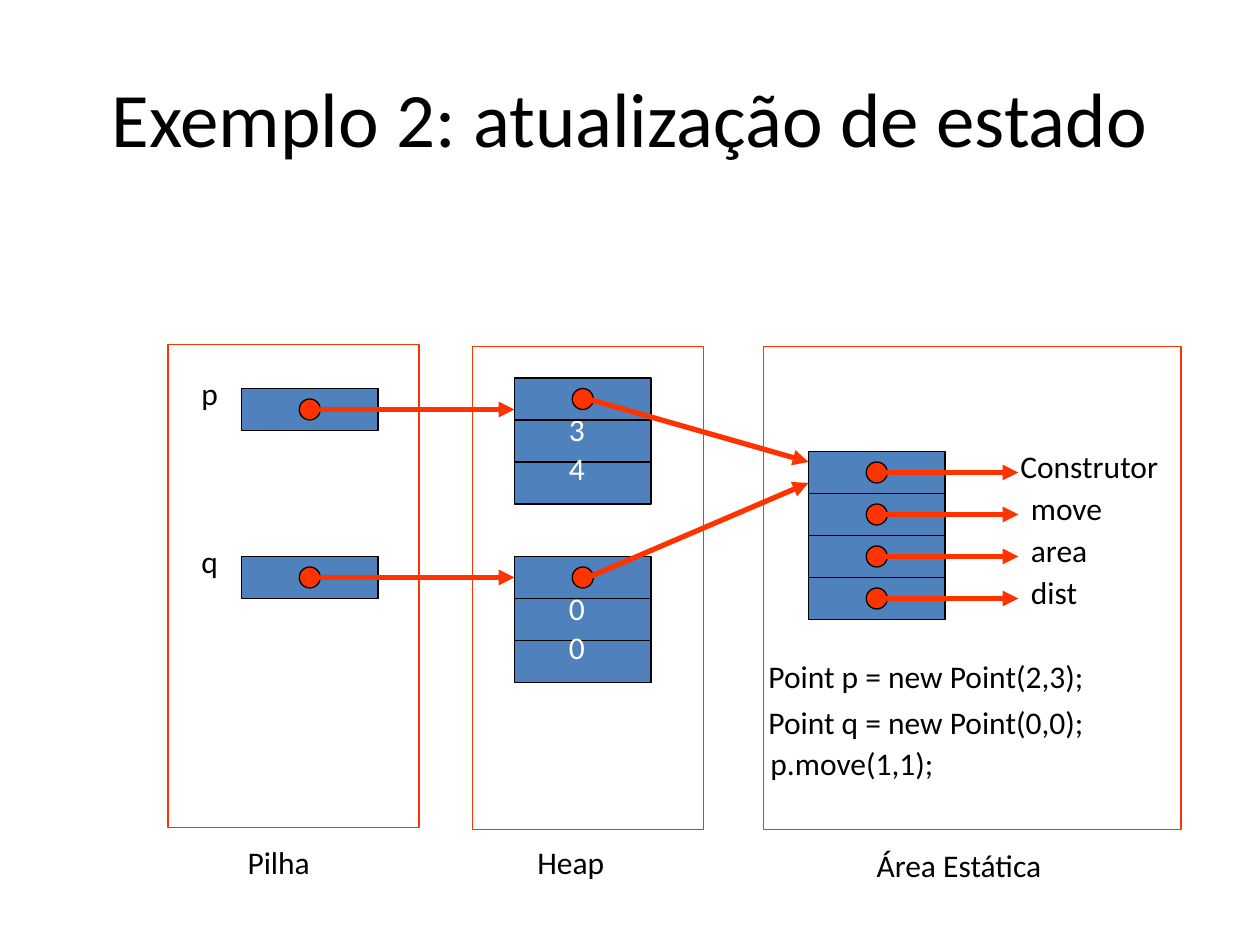
from lxml.etree import SubElement
from pptx import Presentation
from pptx.dml.color import RGBColor
from pptx.enum.shapes import MSO_CONNECTOR, MSO_SHAPE as Shape
from pptx.enum.text import MSO_ANCHOR, PP_ALIGN
from pptx.oxml.ns import qn
from pptx.util import Inches, Pt

BLACK = RGBColor(0x00, 0x00, 0x00)
WHITE = RGBColor(0xFF, 0xFF, 0xFF)
BLUE = RGBColor(0x4F, 0x81, 0xBD)
RED = RGBColor(0xFF, 0x33, 0x00)

# All positions are in grid units, twelve to the inch.
UNIT = Inches(1) / 12
CELL_W, CELL_H, DOT = 13, 4, 2

TITLE = "Exemplo 2: atualização de estado"
FRAMES = [(16, 32.8, 23.9, 46), (45, 33, 22, 46), (72.7, 33, 39.8, 46)]
CAPTIONS = [("Pilha", 22.4, 79.7, 9.4), ("Heap", 50, 79.7, 13),
            ("Área Estática", 82.3, 80, 21.7)]
CODE = [("Point p = new Point(2,3);", 72, 62),
        ("Point q = new Point(0,0);", 72, 66.4),
        ("p.move(1,1);", 72.2, 70.3)]

STACK_X, HEAP_X, STATIC_X, STATIC_Y = 23, 49, 77, 43
# variable, row on the stack, row on the heap, field values, arrow end row
VARIABLES = [("p", 37, 36, ("3", "4"), 44), ("q", 53, 53, ("0", "0"), 46)]
METHODS = [("Construtor", 96), ("move", 97), ("area", 97), ("dist", 97)]

prs = Presentation()
prs.slide_width, prs.slide_height = Inches(10), Inches(7.5)
s = prs.slides.add_slide(prs.slide_layouts[6])


def grid(*values):
    return [round(v * UNIT) for v in values]


def add_text(text, x, y, w, h=6, size=18, color=BLACK):
    tf = s.shapes.add_textbox(*grid(x, y, w, h)).text_frame
    tf.word_wrap = True
    p = tf.paragraphs[0]
    p.text = text
    p.font.name, p.font.size, p.font.color.rgb = "Calibri", Pt(size), color
    return tf


def add_box(kind, x, y, w, h, fill=None, line=BLACK):
    sp = s.shapes.add_shape(kind, *grid(x, y, w, h))
    sp.shadow.inherit = False
    if fill is None:
        sp.fill.background()
    else:
        sp.fill.solid()
        sp.fill.fore_color.rgb = fill
    sp.line.color.rgb, sp.line.width = line, Pt(0.75)


def add_cell(x, y):
    add_box(Shape.RECTANGLE, x, y, CELL_W, CELL_H, BLUE)


def add_pointer(x, y, end_x, end_y):
    """Draw a cell with a dot in its middle and an arrow leaving the dot."""
    add_cell(x, y)
    add_box(Shape.OVAL, x + (CELL_W - DOT) / 2, y + (CELL_H - DOT) / 2,
            DOT, DOT, RED, BLACK)
    arrow = s.shapes.add_connector(
        MSO_CONNECTOR.STRAIGHT, *grid(x + 7, y + CELL_H / 2, end_x, end_y))
    arrow.line.color.rgb, arrow.line.width = RED, Pt(3)
    SubElement(arrow.line._get_or_add_ln(), qn("a:tailEnd"), type="triangle")
    SubElement(arrow._element.spPr, qn("a:effectLst"))


title = add_text(TITLE, 6, 3.6, 108, 15, 44)
title.vertical_anchor = MSO_ANCHOR.MIDDLE
title.paragraphs[0].alignment = PP_ALIGN.CENTER

for frame in FRAMES:
    add_box(Shape.RECTANGLE, *frame, line=RED)
for caption in CAPTIONS:
    add_text(*caption)
for line in CODE:
    add_text(*line, 40)

for i, (method, x) in enumerate(METHODS):
    y = STATIC_Y + i * CELL_H
    add_pointer(STATIC_X, y, 97, y + CELL_H / 2)
    add_text(method, x, y - 1, 18)

for name, stack_y, heap_y, values, end_y in VARIABLES:
    add_text(name, STACK_X - 5, stack_y - 2, 7)
    add_pointer(STACK_X, stack_y, HEAP_X, stack_y + CELL_H / 2)
    for i in range(len(values)):
        add_cell(HEAP_X, heap_y + (i + 1) * CELL_H)
    for i, value in enumerate(values):
        add_text(value, HEAP_X + 4, heap_y + 2.5 + 3.7 * i, 5, color=WHITE)
    add_pointer(HEAP_X, heap_y, STATIC_X, end_y)

prs.save("out.pptx")
